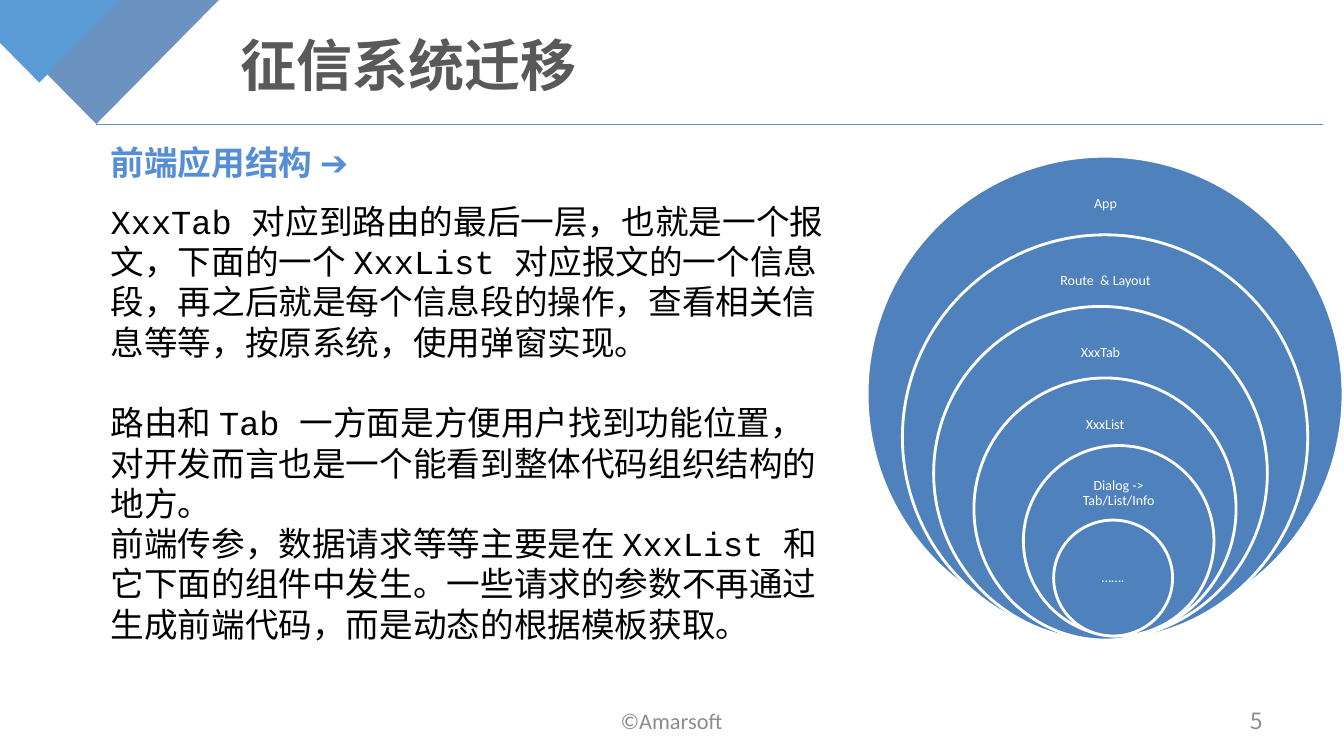
from dataclasses import dataclass
from typing import NamedTuple, Optional

from lxml import etree
from pptx import Presentation
from pptx import util as u
from pptx.dml.color import RGBColor
from pptx.enum import shapes, text
from pptx.oxml import ns


@dataclass(frozen=True)
class Theme:
    slate: str = "6C92C0"
    sky: str = "5B9BD5"
    ring: str = "4F81BD"
    heading: str = "558ED5"
    title: str = "595959"
    footer: str = "8C8C8C"
    black: str = "000000"
    white: str = "FFFFFF"
    title_size: int = 40
    body_size: int = 24
    footer_size: int = 16
    label_size: int = 10
    mono: str = "Courier New"
    sans: str = "Calibri"
    cjk: str = "Noto Sans CJK SC"


class Box(NamedTuple):
    left: float
    top: float
    width: float
    height: float

    def emu(self) -> list:
        return [u.Inches(side) for side in self]


class Layer(NamedTuple):
    label: str
    circle: Box
    label_box: Box


THEME = Theme()
MIDDLE = text.MSO_ANCHOR.MIDDLE
CENTER = text.PP_ALIGN.CENTER
WIDE_INSETS = (0.13, 0.07)

LAYERS = [
    Layer("App", Box(8.6, 1.55, 4.72, 4.72), Box(10.08, 1.79, 1.77, 0.47)),
    Layer("Route  & Layout", Box(8.95, 2.33, 4.02, 4.02), Box(10.1, 2.56, 1.73, 0.46)),
    Layer("XxxTab", Box(9.26, 3.04, 3.31, 3.31), Box(10.06, 3.27, 1.71, 0.46)),
    Layer("XxxList", Box(9.66, 3.75, 2.6, 2.6), Box(10.26, 3.98, 1.4, 0.47)),
    Layer("Dialog -> Tab/List/Info", Box(10.15, 4.42, 1.89, 1.89), Box(10.48, 4.66, 1.23, 0.47)),
    Layer("…….", Box(10.45, 5.16, 1.18, 1.15), Box(10.62, 5.45, 0.84, 0.57)),
]

BODY = [
    "XxxTab 对应到路由的最后一层，也就是一个报文，下面的一个 XxxList 对应报文的一个信息段，"
    "再之后就是每个信息段的操作，查看相关信息等等，按原系统，使用弹窗实现。",
    "路由和 Tab 一方面是方便用户找到功能位置，对开发而言也是一个能看到整体代码组织结构的地方。",
    "前端传参，数据请求等等主要是在 XxxList 和它下面的组件中发生。"
    "一些请求的参数不再通过生成前端代码，而是动态的根据模板获取。",
]


def add_text(slide, box: Box, *paragraphs: str, size: int, font: str, color: str,
             bold: bool = False, align=text.PP_ALIGN.LEFT, anchor=text.MSO_ANCHOR.TOP,
             insets: tuple = (0.1, 0.05), line_spacing: Optional[float] = None,
             space_after: float = 0, gaps: tuple = ()) -> None:
    """Add a wrapped text box; gaps are the points before each paragraph."""
    frame = slide.shapes.add_textbox(*box.emu()).text_frame
    frame.word_wrap = True
    frame.vertical_anchor = anchor
    frame.margin_left = frame.margin_right = u.Inches(insets[0])
    frame.margin_top = frame.margin_bottom = u.Inches(insets[1])
    for index, content in enumerate(paragraphs):
        paragraph = frame.add_paragraph() if index else frame.paragraphs[0]
        paragraph.alignment = align
        paragraph.space_after = u.Pt(space_after)
        if line_spacing:
            paragraph.line_spacing = line_spacing
        if index < len(gaps) and gaps[index]:
            paragraph.space_before = u.Pt(gaps[index])
        run = paragraph.add_run()
        run.text = content
        run.font.size = u.Pt(size)
        run.font.name = font
        run.font.bold = bold
        run.font.color.rgb = RGBColor.from_string(color)
        # Chinese glyphs use their own typeface
        east_asian = etree.SubElement(run.font._element, ns.qn("a:ea"))
        east_asian.set("typeface", THEME.cjk)


def add_filled(slide, kind, box: Box, fill: str, outline: Optional[str] = None,
               rotation: float = 0) -> None:
    shape = slide.shapes.add_shape(kind, *box.emu())
    shape.shadow.inherit = False
    shape.rotation = rotation
    shape.fill.solid()
    shape.fill.fore_color.rgb = RGBColor.from_string(fill)
    if outline:
        shape.line.color.rgb = RGBColor.from_string(outline)
        shape.line.width = u.Pt(2)
    else:
        shape.line.fill.background()


def add_header(slide) -> None:
    # Corner triangles
    for box, color in ((Box(-0.26, 0, 2.43, 1.23), THEME.slate),
                       (Box(-0.42, 0, 1.62, 0.82), THEME.sky)):
        add_filled(slide, shapes.MSO_SHAPE.ISOSCELES_TRIANGLE, box, color, rotation=180)
    # Rule under the title
    rule = slide.shapes.add_connector(
        shapes.MSO_CONNECTOR.STRAIGHT,
        u.Inches(0.95), u.Inches(1.23), u.Inches(13.12), u.Inches(1.23))
    rule.line.color.rgb = RGBColor.from_string(THEME.slate)
    rule.line.width = u.Pt(0.25)
    etree.SubElement(rule._element.spPr, ns.qn("a:effectLst"))
    add_text(slide, Box(2.26, 0.13, 10.56, 1.02), "征信系统迁移", size=THEME.title_size,
             font=THEME.mono, color=THEME.title, bold=True, anchor=MIDDLE, insets=WIDE_INSETS)


def add_footer(slide) -> None:
    add_text(slide, Box(4.55, 6.95, 4.22, 0.4), "©Amarsoft", size=THEME.footer_size,
             font=THEME.sans, color=THEME.footer, align=CENTER, anchor=MIDDLE,
             insets=WIDE_INSETS)
    add_text(slide, Box(9.55, 6.95, 3.11, 0.4), "5", size=THEME.footer_size,
             font=THEME.cjk, color=THEME.footer, align=text.PP_ALIGN.RIGHT, anchor=MIDDLE,
             insets=WIDE_INSETS)


def add_explanation(slide) -> None:
    add_text(slide, Box(1, 1.36, 10.79, 0.5), "前端应用结构 ➔", size=THEME.body_size,
             font=THEME.cjk, color=THEME.heading, bold=True)
    add_text(slide, Box(1, 1.94, 7.4, 4.54), *BODY, size=THEME.body_size,
             font=THEME.mono, color=THEME.black, gaps=(0, 28.8, 0))


def add_layers(slide) -> None:
    for layer in LAYERS:
        add_filled(slide, shapes.MSO_SHAPE.OVAL, layer.circle, THEME.ring, THEME.white)
        add_text(slide, layer.label_box, layer.label, size=THEME.label_size,
                 font=THEME.sans, color=THEME.white, align=CENTER, anchor=MIDDLE,
                 insets=(0.08, 0.08), line_spacing=0.9, space_after=3.5)


def main() -> None:
    deck = Presentation()
    deck.slide_width, deck.slide_height = u.Inches(13.33), u.Inches(7.5)
    slide = deck.slides.add_slide(deck.slide_layouts[6])
    add_header(slide)
    add_footer(slide)
    add_explanation(slide)
    add_layers(slide)
    deck.save("out.pptx")


if __name__ == "__main__":
    main()
